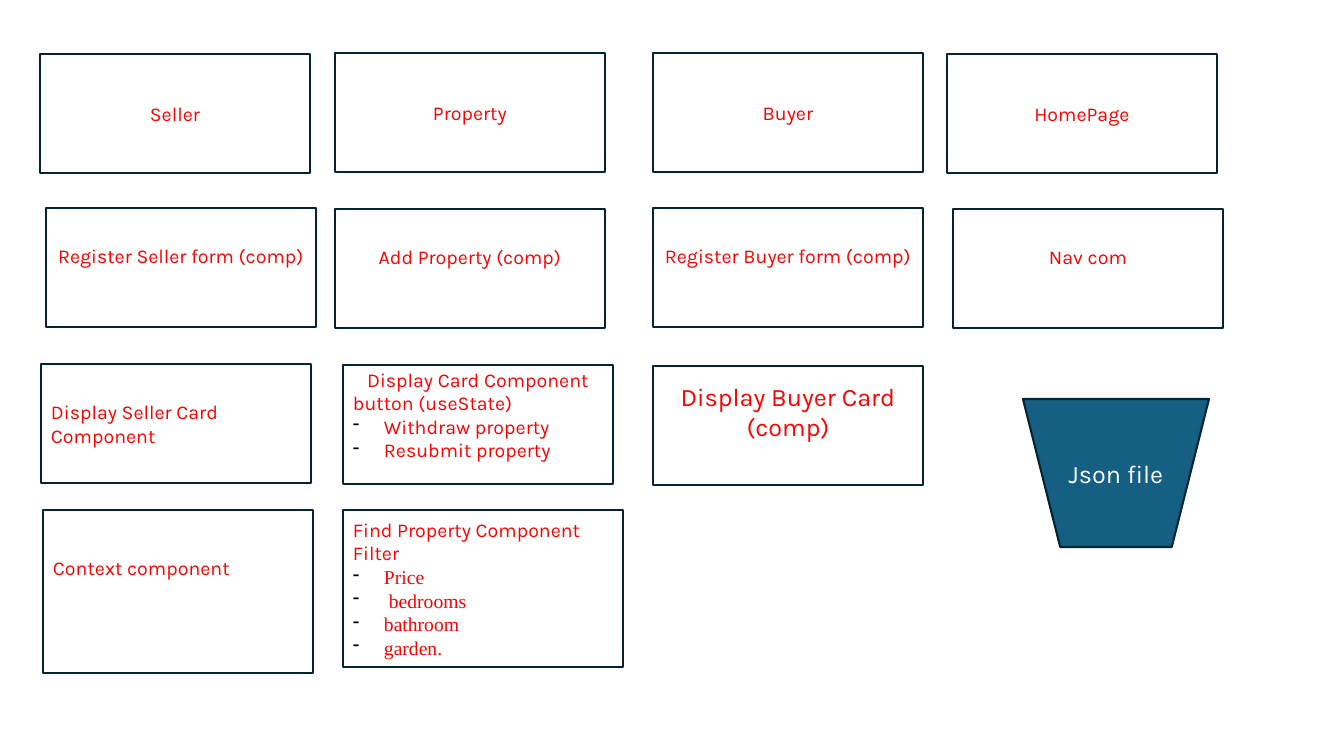
from lxml import etree
from pptx import Presentation
from pptx import util as u
from pptx.dml.color import RGBColor
from pptx.enum import shapes, text
from pptx.oxml.ns import qn

SCALE = 914400 / 100.8
RED, WHITE, NAVY, TEAL, BLACK = "FF0000", "FFFFFF", "042433", "156082", "000000"
CARD_W, CARD_H = 270, 119
LINE_LIFT = 24  # one 14 pt line, raises text above the middle


def px(value):
    return u.Emu(round(value * SCALE))


def color(value):
    return RGBColor.from_string(value)


def style_shape(shape, fill):
    shape.shadow.inherit = False
    shape.fill.solid()
    shape.fill.fore_color.rgb = color(fill)
    shape.line.color.rgb = color(NAVY)
    shape.line.width = u.Pt(1.5)


def add_dash(para):
    properties = para._p.get_or_add_pPr()
    properties.set("marL", str(px(31)))
    properties.set("indent", str(-px(31)))
    bullet_color = etree.SubElement(properties, qn("a:buClr"))
    etree.SubElement(bullet_color, qn("a:srgbClr"), val=BLACK)
    etree.SubElement(properties, qn("a:buChar"), char="-")


def write_text(shape, lines, size=14, ink=RED, lift=0, side=10):
    """Each line is (words, kind), kind being center, left or dash."""
    frame = shape.text_frame
    settings = {
        "word_wrap": True, "vertical_anchor": text.MSO_ANCHOR.MIDDLE,
        "margin_left": px(side), "margin_right": px(side),
        "margin_top": 0, "margin_bottom": px(lift),
    }
    for name, value in settings.items():
        setattr(frame, name, value)
    for index, (words, kind, *font) in enumerate(lines):
        para = frame.add_paragraph() if index else frame.paragraphs[0]
        para.alignment = text.PP_ALIGN.CENTER if kind == "center" else text.PP_ALIGN.LEFT
        if kind == "dash":
            add_dash(para)
        span = para.add_run()
        span.text = words
        look = {"name": font[0] if font else "Karla", "size": u.Pt(size)}
        for name, value in look.items():
            setattr(span.font, name, value)
        span.font.color.rgb = color(ink)


def add_card(page, box, lines, **options):
    card = page.shapes.add_shape(shapes.MSO_SHAPE.RECTANGLE, *map(px, box))
    style_shape(card, WHITE)
    write_text(card, lines, **options)


def add_json_store(page, box):
    left, top, width, height = box
    taper = width / 5
    builder = page.shapes.build_freeform(px(left), px(top))
    builder.add_line_segments([
        (px(left + width), px(top)),
        (px(left + width - taper), px(top + height)),
        (px(left + taper), px(top + height)),
    ])
    store = builder.convert_to_shape()
    style_shape(store, TEAL)
    write_text(store, [("Json file", "center")], size=18, ink=WHITE, side=45)


def add_title_cards(page, places):
    for words, left, top in places:
        add_card(page, (left, top, CARD_W, CARD_H), [(words, "center")])


def add_form_cards(page, places):
    for words, left, top in places:
        add_card(page, (left, top, CARD_W, CARD_H), [(words, "center")], lift=LINE_LIFT)


def add_display_cards(page):
    add_card(page, (41, 364, CARD_W, CARD_H), [("Display Seller Card Component", "left")])
    add_card(page, (343, 365, CARD_W, CARD_H), [
        ("Display Card Component", "center"),
        ("button (useState)", "left"),
        ("Withdraw property", "dash"),
        ("Resubmit property", "dash"),
    ], lift=20)
    add_card(page, (653, 366, CARD_W, CARD_H),
             [("Display Buyer Card (comp)", "center")], size=18, lift=28)


def add_context_and_filter(page):
    add_card(page, (43, 510, CARD_W, 163), [("Context component", "left")],
             lift=2 * LINE_LIFT)
    filters = ["Price", " bedrooms", "bathroom", "garden."]
    add_card(page, (343, 510, 280, 157),
             [("Find Property Component Filter", "left")]
             + [(name, "dash", "Times New Roman") for name in filters])


deck = Presentation()
deck.slide_width, deck.slide_height = px(1344), px(756)
page = deck.slides.add_slide(deck.slide_layouts[6])

# Pages of the app
add_title_cards(page, [("Seller", 40, 54), ("Property", 335, 53),
                       ("Buyer", 653, 53), ("HomePage", 947, 54)])
# Forms and navigation
add_form_cards(page, [("Register Seller form (comp)", 46, 208),
                      ("Add Property (comp)", 335, 209),
                      ("Register Buyer form (comp)", 653, 208),
                      ("Nav com", 953, 209)])
# Display components, context and data store
add_display_cards(page)
add_context_and_filter(page)
add_json_store(page, (1023, 399, 186, 148))

deck.save("out.pptx")
